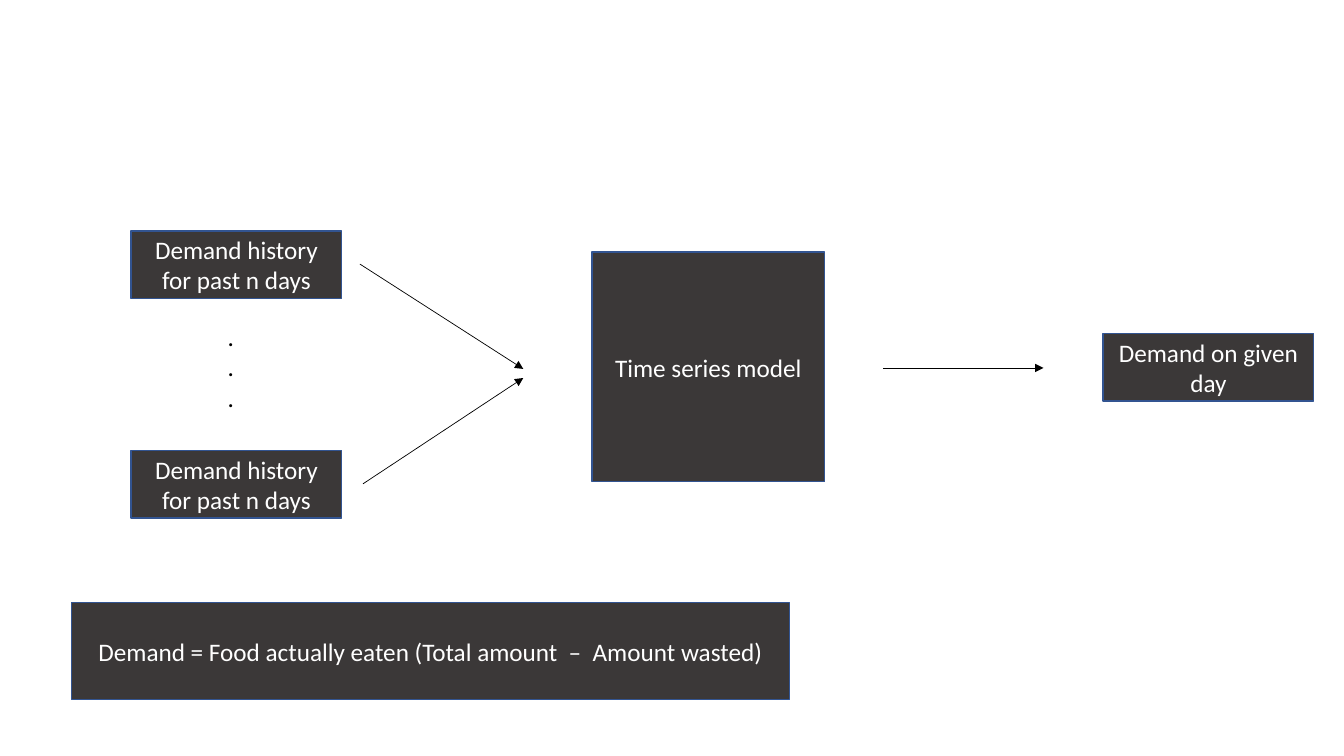
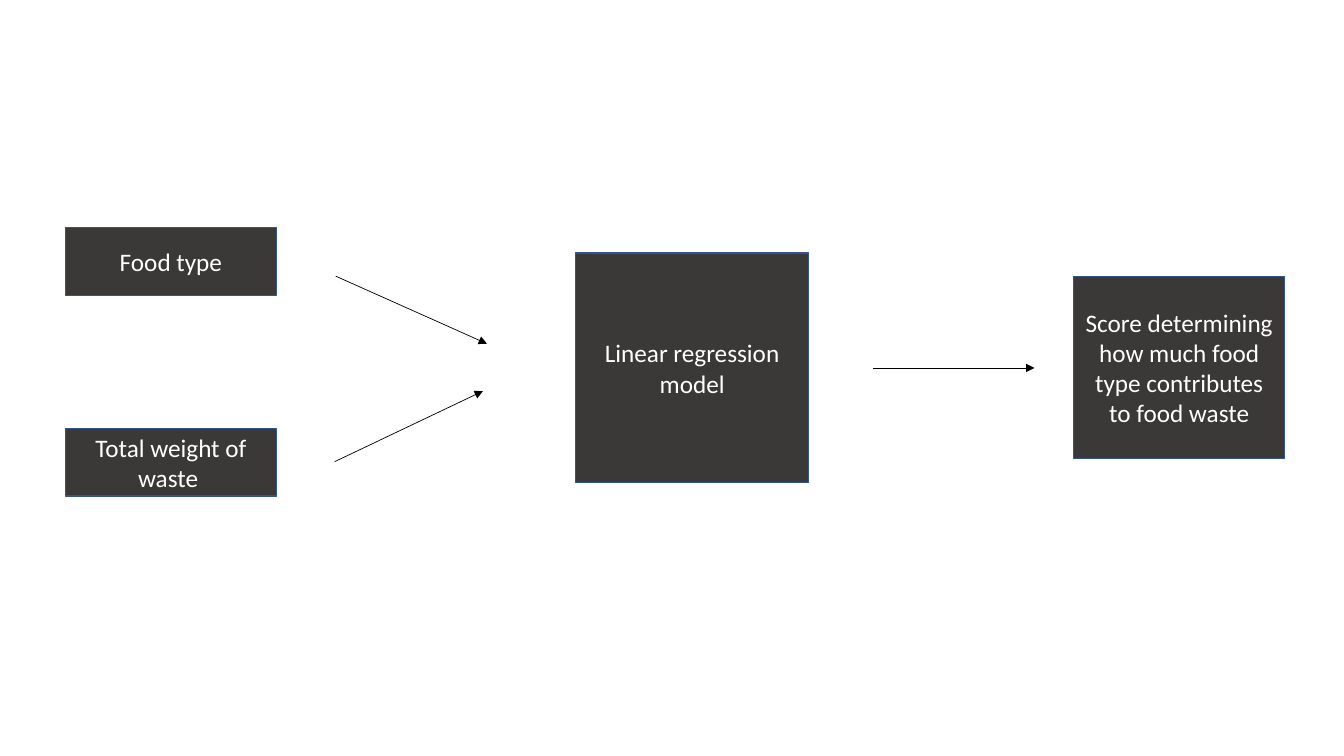
"""Build two flow diagrams of the food demand and food waste models."""
from dataclasses import dataclass

from lxml.etree import SubElement
from pptx import Presentation
from pptx.dml.color import RGBColor
from pptx.enum.shapes import MSO_CONNECTOR, MSO_SHAPE
from pptx.enum.text import MSO_ANCHOR, MSO_AUTO_SIZE, PP_ALIGN
from pptx.oxml.ns import qn
from pptx.util import Inches, Pt


@dataclass(frozen=True)
class Theme:
    font: str = "Calibri"
    size: float = 18
    box: str = "3B3838"
    border: str = "325491"
    border_width: float = 1
    on_box: str = "FFFFFF"
    ink: str = "000000"
    arrow_width: float = 0.5


THEME = Theme()
SMALL = (2.09, 0.67)
MODEL = (2.31, 2.28)
SCORE = (2.09, 1.81)
FORMULA = (7.12, 0.96)
BLANK_LAYOUT = 6

SLIDES = [
    {
        "boxes": [
            ("Time series model", (5.87, 2.5), MODEL),
            ("Demand history for past n days", (1.3, 2.29), SMALL),
            ("Demand history for past n days", (1.3, 4.47), SMALL),
            ("Demand on given day", (10.94, 3.31), SMALL),
            ("Demand = Food actually eaten (Total amount  –  Amount wasted)",
             (0.71, 5.98), FORMULA),
        ],
        "arrows": [
            ((3.57, 2.62), (5.19, 3.66)),
            ((3.6, 4.8), (5.19, 3.75)),
            ((8.76, 3.65), (10.35, 3.65)),
        ],
        "notes": [([".", ".", "."], (2.16, 3.14), (0.23, 1.01))],
    },
    {
        "boxes": [
            ("Linear regression model", (5.71, 2.51), MODEL),
            ("Food type", (0.65, 2.26), SMALL),
            ("Total weight of waste ", (0.65, 4.25), SMALL),
            ("Score determining how much food type contributes to food waste",
             (10.65, 2.74), SCORE),
        ],
        "arrows": [
            ((3.33, 2.74), (4.83, 3.41)),
            ((3.32, 4.58), (4.79, 3.88)),
            ((8.66, 3.65), (10.26, 3.65)),
        ],
        "notes": [],
    },
]


def inches(*values):
    return [Inches(v) for v in values]


def rgb(value):
    return RGBColor.from_string(value)


def write(tf, lines, color, align):
    for i, line in enumerate(lines):
        p = tf.add_paragraph() if i else tf.paragraphs[0]
        p.alignment = align
        r = p.add_run()
        r.text = line
        r.font.name = THEME.font
        r.font.size = Pt(THEME.size)
        r.font.color.rgb = rgb(color)


def add_box(s, text, place, size):
    sp = s.shapes.add_shape(MSO_SHAPE.RECTANGLE, *inches(*place, *size))
    sp.shadow.inherit = False
    sp.fill.solid()
    sp.fill.fore_color.rgb = rgb(THEME.box)
    sp.line.color.rgb = rgb(THEME.border)
    sp.line.width = Pt(THEME.border_width)
    tf = sp.text_frame
    tf.word_wrap = True
    tf.vertical_anchor = MSO_ANCHOR.MIDDLE
    write(tf, [text], THEME.on_box, PP_ALIGN.CENTER)


def add_arrow(s, start, end):
    cxn = s.shapes.add_connector(MSO_CONNECTOR.STRAIGHT, *inches(*start, *end))
    cxn.line.color.rgb = rgb(THEME.ink)
    cxn.line.width = Pt(THEME.arrow_width)
    SubElement(cxn.line._get_or_add_ln(), qn("a:tailEnd"), type="triangle")
    SubElement(cxn._element.spPr, qn("a:effectLst"))


def add_note(s, lines, place, size):
    tf = s.shapes.add_textbox(*inches(*place, *size)).text_frame
    tf.word_wrap = True
    tf.auto_size = MSO_AUTO_SIZE.SHAPE_TO_FIT_TEXT
    write(tf, lines, THEME.ink, PP_ALIGN.LEFT)


def main():
    prs = Presentation()
    prs.slide_width, prs.slide_height = inches(13.33, 7.5)
    for content in SLIDES:
        s = prs.slides.add_slide(prs.slide_layouts[BLANK_LAYOUT])
        for box in content["boxes"]:
            add_box(s, *box)
        for arrow in content["arrows"]:
            add_arrow(s, *arrow)
        for note in content["notes"]:
            add_note(s, *note)
    prs.save("out.pptx")


if __name__ == "__main__":
    main()
